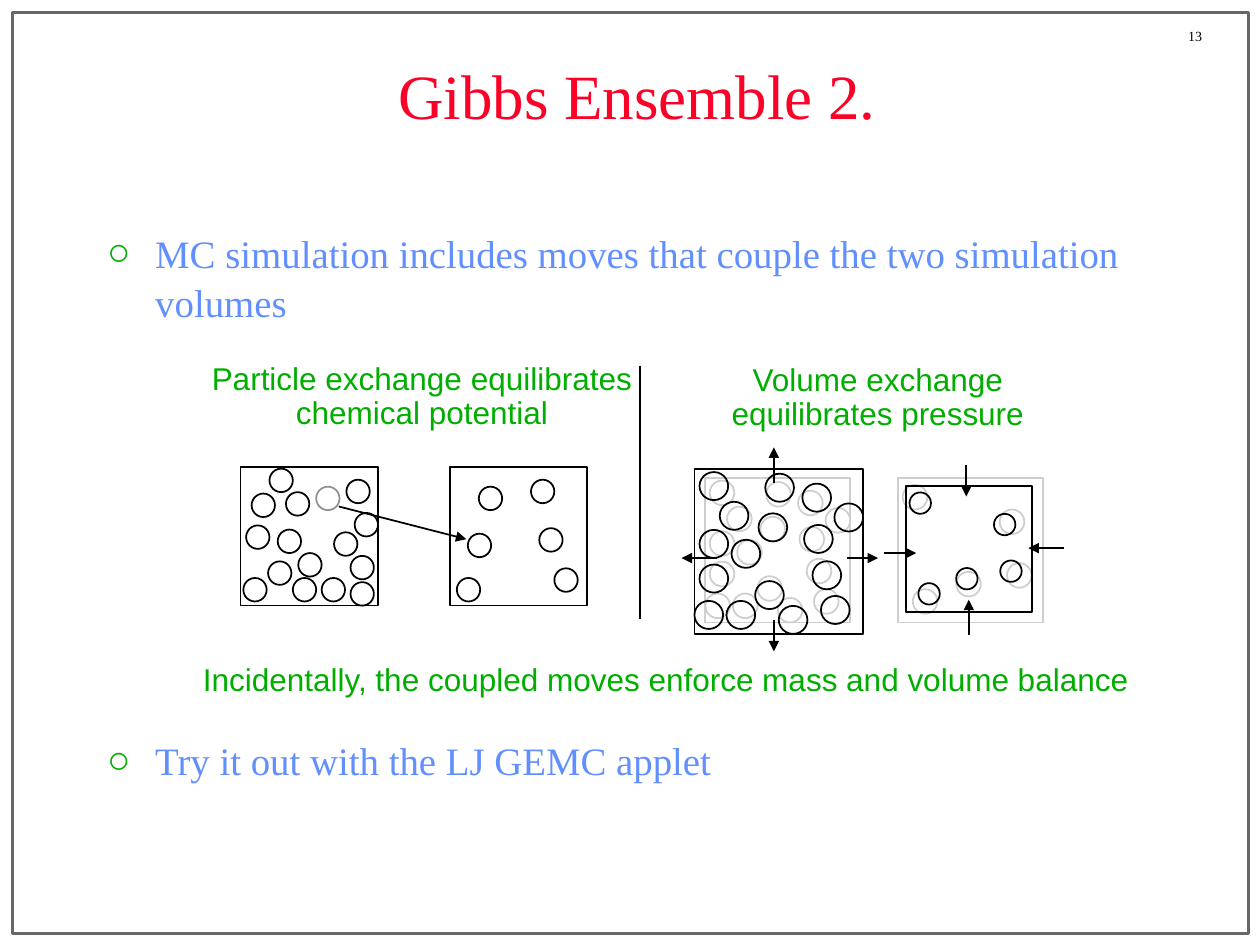
from lxml import etree
from pptx import Presentation
from pptx.dml.color import RGBColor
from pptx.enum.shapes import MSO_CONNECTOR, MSO_SHAPE
from pptx.enum.text import MSO_ANCHOR, PP_ALIGN
from pptx.oxml.ns import qn
from pptx.util import Cm, Pt

RECTANGLE, OVAL = MSO_SHAPE.RECTANGLE, MSO_SHAPE.OVAL
STRAIGHT = MSO_CONNECTOR.STRAIGHT
LEFT, CENTER = PP_ALIGN.LEFT, PP_ALIGN.CENTER
TOP, MIDDLE = MSO_ANCHOR.TOP, MSO_ANCHOR.MIDDLE

SERIF, SANS = "Times New Roman", "Arial"
COLORS = {
    "frame": "676767",
    "title": "FC0128",
    "body": "618FFD",
    "green": "00AE00",
    "black": "000000",
    "moved": "919191",
    "before": "CECECE",
}

# Particle corners and diameter are fractions of the side of their box.
PARTICLE_SIZE = 0.17
DONOR_PARTICLES = [
    (0.08, 0.19), (0.04, 0.42), (0.83, 0.33), (0.42, 0.62), (0.20, 0.68),
    (0.80, 0.64), (0.59, 0.80), (0.33, 0.18), (0.77, 0.09), (0.38, 0.80),
    (0.02, 0.80), (0.27, 0.45), (0.21, 0.01), (0.80, 0.83), (0.68, 0.47),
]
MOVED_PARTICLE = (0.55, 0.14)
RECEIVER_PARTICLES = [
    (0.05, 0.80), (0.65, 0.44), (0.21, 0.14),
    (0.76, 0.73), (0.59, 0.09), (0.13, 0.48),
]
DENSE_PARTICLES = [
    (0.64, 0.09), (0.42, 0.03), (0.70, 0.56), (0.50, 0.83), (0.22, 0.43),
    (0.15, 0.20), (0.19, 0.80), (0.03, 0.58), (0.65, 0.34), (0.75, 0.77),
    (0.03, 0.37), (0.03, 0.02), (0.38, 0.27), (0.83, 0.21), (0.00, 0.80),
    (0.36, 0.68),
]
DILUTE_PARTICLES = [
    (0.03, 0.05), (0.40, 0.65), (0.70, 0.22), (0.10, 0.77), (0.75, 0.59),
]

EXCHANGE_ARROW = (6.83, 10.21, 9.40, 10.87)
EXPANSION_ARROWS = [
    (15.6, 12.5, 15.6, 13.13), (17.07, 11.25, 17.7, 11.25),
    (15.6, 9.73, 15.6, 9.02), (14.45, 11.25, 13.74, 11.25),
]
COMPRESSION_ARROWS = [
    (19.48, 9.37, 19.48, 10.01), (19.53, 12.8, 19.53, 12.09),
    (21.44, 11.05, 20.73, 11.05), (17.83, 11.15, 18.47, 11.15),
]


def rgb(color):
    return RGBColor.from_string(COLORS[color])


def add_outline(shapes, kind, box, color, width=1):
    """Add an unfilled preset shape; box is left, top, width, height in cm."""
    shape = shapes.add_shape(kind, *map(Cm, box))
    shape.shadow.inherit = False
    shape.fill.background()
    shape.line.color.rgb = rgb(color)
    shape.line.width = Pt(width)


def add_particles(shapes, box, particles, color):
    left, top, width, height = box
    for x, y in particles:
        add_outline(shapes, OVAL, (left + x * width, top + y * height,
                                   PARTICLE_SIZE * width, PARTICLE_SIZE * height), color)


def add_volume(slide, box, particles, color):
    """Add a group of a simulation box and its particles, and return its shapes."""
    shapes = slide.shapes.add_group_shape().shapes
    add_outline(shapes, RECTANGLE, box, color)
    add_particles(shapes, box, particles, color)
    return shapes


def add_line(slide, ends, arrow=True):
    connector = slide.shapes.add_connector(STRAIGHT, *map(Cm, ends))
    connector.line.color.rgb = rgb("black")
    connector.line.width = Pt(1)
    if arrow:
        etree.SubElement(connector.line._get_or_add_ln(), qn("a:tailEnd"), type="triangle")
    etree.SubElement(connector._element.spPr, qn("a:effectLst"))


def add_bullet(paragraph):
    properties = paragraph._p.get_or_add_pPr()
    indent = Cm(0.97)
    properties.set("marL", str(indent))
    properties.set("indent", str(-indent))
    color = etree.SubElement(properties, qn("a:buClr"))
    etree.SubElement(color, qn("a:srgbClr"), val=COLORS["green"])
    etree.SubElement(properties, qn("a:buFont"), typeface=SERIF)
    etree.SubElement(properties, qn("a:buChar"), char="○")


def add_text(slide, box, text, size, color, font=SERIF, align=LEFT,
             anchor=TOP, spacing=1.0, wrap=True):
    """Add a text box with one paragraph per line of text, and return its paragraphs."""
    frame = slide.shapes.add_textbox(*map(Cm, box)).text_frame
    frame.word_wrap = wrap
    frame.vertical_anchor = anchor
    frame.text = text
    for paragraph in frame.paragraphs:
        paragraph.alignment = align
        paragraph.line_spacing = spacing
        for run in paragraph.runs:
            run.font.name = font
            run.font.size = Pt(size)
            run.font.color.rgb = rgb(color)
    return frame.paragraphs


def add_caption(slide, box, text, align=CENTER, wrap=True):
    add_text(slide, box, text, 18, "green", SANS, align, spacing=0.9, wrap=wrap)


def add_body(slide):
    bullets = add_text(
        slide, (1.91, 4.45, 22.23, 11.43),
        "MC simulation includes moves that couple the two simulation volumes\n"
        "Try it out with the LJ GEMC applet",
        22.2, "body", spacing=1.05)
    bullets[1].space_before = Pt(234)
    for paragraph in bullets:
        add_bullet(paragraph)


def add_particle_exchange(slide):
    donor = (4.85, 9.42, 2.77, 2.79)
    donor_shapes = add_volume(slide, donor, DONOR_PARTICLES, "black")
    add_particles(donor_shapes, donor, [MOVED_PARTICLE], "moved")
    add_volume(slide, (9.07, 9.42, 2.77, 2.79), RECEIVER_PARTICLES, "black")
    add_line(slide, EXCHANGE_ARROW)
    add_caption(slide, (4.01, 7.19, 8.99, 1.63),
                "Particle exchange equilibrates chemical potential")


def add_volume_exchange(slide):
    add_volume(slide, (14.22, 9.63, 2.92, 2.92), DENSE_PARTICLES, "before")
    add_volume(slide, (14.0, 9.45, 3.4, 3.33), DENSE_PARTICLES, "black")
    add_volume(slide, (18.11, 9.63, 2.92, 2.92), DILUTE_PARTICLES, "before")
    add_volume(slide, (18.26, 9.8, 2.54, 2.54), DILUTE_PARTICLES, "black")
    for ends in EXPANSION_ARROWS + COMPRESSION_ARROWS:
        add_line(slide, ends)
    add_caption(slide, (14.43, 7.21, 6.53, 1.63),
                "Volume exchange equilibrates pressure")


def main():
    presentation = Presentation()
    presentation.slide_width, presentation.slide_height = Cm(25.4), Cm(19.05)
    slide = presentation.slides.add_slide(presentation.slide_layouts[6])
    add_outline(slide.shapes, RECTANGLE, (0.25, 0.25, 24.92, 18.57), "frame", 2)
    add_text(slide, (23.7, 0.43, 1.7, 0.58), "13", 8, "black", wrap=False)
    add_text(slide, (1.91, 0.64, 21.87, 2.51), "Gibbs Ensemble 2.", 36, "title",
             align=CENTER, anchor=MIDDLE)
    add_body(slide)
    add_particle_exchange(slide)
    add_line(slide, (12.9, 7.37, 12.9, 12.47), arrow=False)
    add_volume_exchange(slide)
    add_caption(slide, (3.84, 13.26, 19.2, 0.94),
                "Incidentally, the coupled moves enforce mass and volume balance",
                LEFT, wrap=False)
    presentation.save("out.pptx")


if __name__ == "__main__":
    main()
